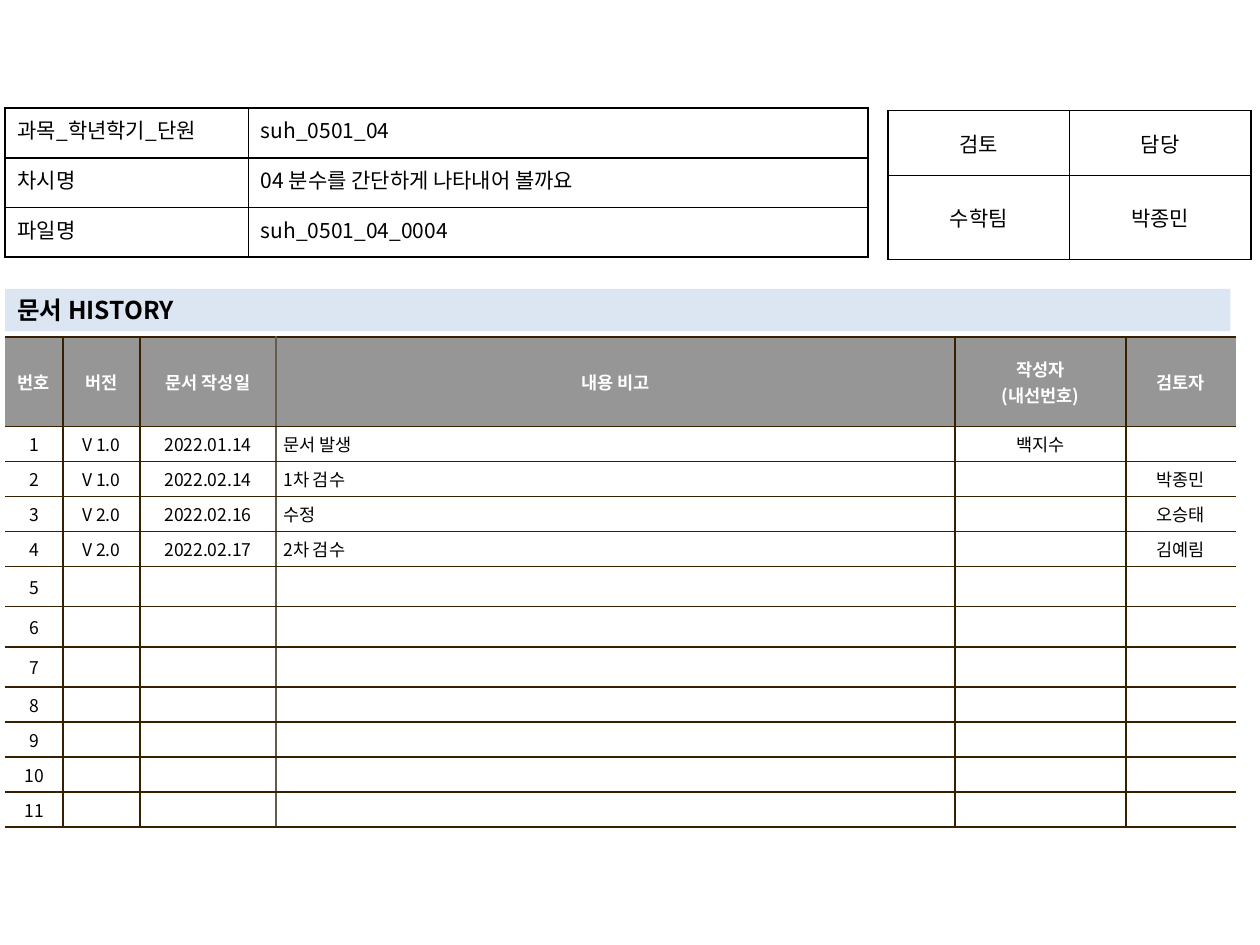
from lxml.etree import SubElement
from pptx import Presentation
from pptx.dml.color import RGBColor
from pptx.enum.shapes import MSO_SHAPE
from pptx.enum.text import MSO_ANCHOR, PP_ALIGN
from pptx.oxml import parse_xml
from pptx.oxml.ns import nsdecls, qn
from pptx.util import Pt

FONT = "Noto Sans CJK KR"
BLACK = RGBColor(0x00, 0x00, 0x00)
WHITE = RGBColor(0xFF, 0xFF, 0xFF)
HEADER_GRAY = RGBColor(0x96, 0x96, 0x96)
PALE_BLUE = RGBColor(0xDC, 0xE6, 0xF2)
BROWN = RGBColor(0x36, 0x20, 0x00)
TAUPE = RGBColor(0x64, 0x5B, 0x4C)

# Content
DOCUMENT_INFO = [
    ("과목_학년학기_단원", "suh_0501_04"),
    ("차시명", "04 분수를 간단하게 나타내어 볼까요"),
    ("파일명", "suh_0501_04_0004"),
]
APPROVAL = [("검토", "담당"), ("수학팀", "박종민")]
HISTORY_TITLE = "문서 HISTORY"
HISTORY_HEADER = ("번호", "버전", "문서 작성일", "내용 비고", "작성자\n(내선번호)", "검토자")
HISTORY_ENTRIES = [
    ("V 1.0", "2022.01.14", "문서 발생", "백지수", ""),
    ("V 1.0", "2022.02.14", "1차 검수", "", "박종민"),
    ("V 2.0", "2022.02.16", "수정", "", "오승태"),
    ("V 2.0", "2022.02.17", "2차 검수", "", "김예림"),
]
HISTORY_ROW_COUNT = 11
TALL_ROWS = (5, 6, 7)
NOTE_COLUMN = 3

# Layout, in points
LEFT = 2.9
INFO_COLUMNS, INFO_ROWS = (139, 354.2), (28.4,) * 3
APPROVAL_COLUMNS, APPROVAL_ROWS = (103.7, 103.7), (37.2, 48)
HISTORY_COLUMNS = (33.1, 44, 77.7, 388, 97.8, 62.6)
HISTORY_ROWS = [51] + [23 if number in TALL_ROWS else 20
                       for number in range(1, HISTORY_ROW_COUNT + 1)]


def format_text(text_frame, size, color, bold=False, alignment=PP_ALIGN.LEFT):
    for paragraph in text_frame.paragraphs:
        paragraph.alignment = alignment
        for run in paragraph.runs:
            run.font.name = FONT
            run.font.size = Pt(size)
            run.font.bold = bold
            run.font.color.rgb = color
            SubElement(run.font._element, qn("a:ea"), typeface=FONT)
        if not paragraph.runs:
            # Keeps an empty cell from stretching its row
            SubElement(paragraph._p, qn("a:endParaRPr"), sz=str(size * 100))


def set_borders(cell, left, right, top, bottom):
    sides = zip(("lnL", "lnR", "lnT", "lnB"), (left, right, top, bottom))
    for index, (side, color) in enumerate(sides):
        fill = (f'<a:solidFill><a:srgbClr val="{color}"/></a:solidFill>'
                if color is not None else "<a:noFill/>")
        line = parse_xml(f'<a:{side} {nsdecls("a")} w="12700">{fill}</a:{side}>')
        cell._tc.get_or_add_tcPr().insert(index, line)


def add_grid(slide, left, top, columns, rows, content):
    frame = slide.shapes.add_table(len(rows), len(columns), Pt(left), Pt(top),
                                   Pt(sum(columns)), Pt(sum(rows)))
    table = frame.table
    table.first_row = table.horz_banding = False
    for column, width in zip(table.columns, columns):
        column.width = Pt(width)
    for row, height, texts in zip(table.rows, rows, content):
        row.height = Pt(height)
        for cell, text in zip(row.cells, texts):
            cell.text_frame.text = text
            cell.fill.background()
    return table


def add_history(slide):
    content = [HISTORY_HEADER]
    for number in range(1, HISTORY_ROW_COUNT + 1):
        entry = HISTORY_ENTRIES[number - 1] if number <= len(HISTORY_ENTRIES) else ("",) * 5
        content.append((str(number), *entry))
    table = add_grid(slide, LEFT, 192.7, HISTORY_COLUMNS, HISTORY_ROWS, content)
    # Vertical rules: open outer sides, lighter rule before the notes
    rules = [None, BROWN, BROWN, TAUPE, BROWN, BROWN, None]
    for row_index, row in enumerate(table.rows):
        header = row_index == 0
        for column_index, cell in enumerate(row.cells):
            cell.vertical_anchor = MSO_ANCHOR.MIDDLE
            cell.margin_left = cell.margin_right = Pt(4.3)
            cell.margin_top = cell.margin_bottom = Pt(2.7)
            cell.fill.solid()
            cell.fill.fore_color.rgb = HEADER_GRAY if header else WHITE
            note = column_index == NOTE_COLUMN and not header
            format_text(cell.text_frame, 10, WHITE if header else BLACK, header,
                        PP_ALIGN.LEFT if note else PP_ALIGN.CENTER)
            set_borders(cell, rules[column_index], rules[column_index + 1], BROWN, BROWN)


def add_black_grid(slide, left, top, columns, rows, content, anchor, alignments):
    table = add_grid(slide, left, top, columns, rows, content)
    for row in table.rows:
        for cell, alignment in zip(row.cells, alignments):
            cell.vertical_anchor = anchor
            format_text(cell.text_frame, 12, BLACK, alignment=alignment)
            set_borders(cell, BLACK, BLACK, BLACK, BLACK)


def add_title_bar(slide):
    bar = slide.shapes.add_shape(MSO_SHAPE.RECTANGLE, Pt(LEFT), Pt(165.1), Pt(700.2), Pt(24.2))
    bar.shadow.inherit = False
    bar.fill.solid()
    bar.fill.fore_color.rgb = PALE_BLUE
    bar.line.fill.background()
    text_frame = bar.text_frame
    text_frame.word_wrap = True
    text_frame.vertical_anchor = MSO_ANCHOR.MIDDLE
    text_frame.margin_top = text_frame.margin_bottom = 0
    text_frame.text = HISTORY_TITLE
    format_text(text_frame, 14, BLACK, bold=True)


def main():
    presentation = Presentation()
    presentation.slide_width, presentation.slide_height = Pt(720), Pt(540)
    slide = presentation.slides.add_slide(presentation.slide_layouts[6])
    add_history(slide)
    add_black_grid(slide, 507.5, 63.2, APPROVAL_COLUMNS, APPROVAL_ROWS, APPROVAL,
                   MSO_ANCHOR.MIDDLE, (PP_ALIGN.CENTER, PP_ALIGN.CENTER))
    add_title_bar(slide)
    add_black_grid(slide, LEFT, 61.8, INFO_COLUMNS, INFO_ROWS, DOCUMENT_INFO,
                   MSO_ANCHOR.TOP, (PP_ALIGN.JUSTIFY, PP_ALIGN.LEFT))
    presentation.save("out.pptx")


if __name__ == "__main__":
    main()
